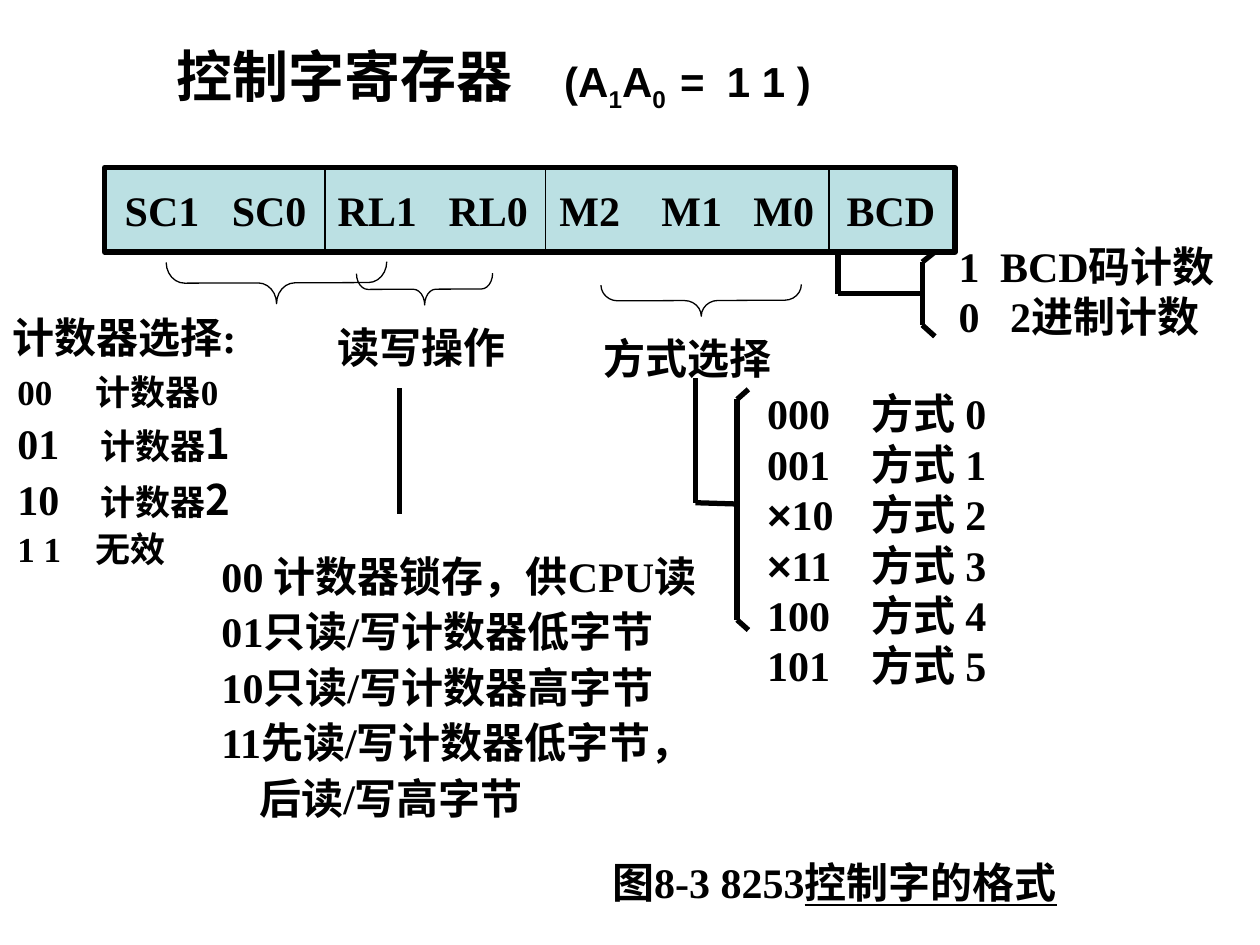
import dataclasses
import itertools
import lxml.etree
import pptx
import pptx.dml.color
import pptx.enum.shapes
import pptx.enum.text
import pptx.oxml.ns
import pptx.util

Inches = pptx.util.Inches
qn = pptx.oxml.ns.qn


@dataclasses.dataclass(frozen=True)
class Theme:
    ink: str = "000000"
    fill: str = "BBE0E3"
    serif: str = "Times New Roman"
    sans: str = "Arial"
    han: str = "Noto Sans CJK SC"
    head: int = 32
    body: int = 24
    small: int = 20
    thick: float = 3
    thin: float = 0.75


theme = Theme()


def color(code):
    return pptx.dml.color.RGBColor.from_string(code)


def inches(values):
    return [Inches(v) for v in values]


def style(run, size=theme.body, face=theme.serif, base=0, under=False):
    font = run.font
    font.size = pptx.util.Pt(size)
    font.bold = True
    font.name = face
    font.color.rgb = color(theme.ink)
    if under:
        font.underline = True
    props = run._r.get_or_add_rPr()
    if base:
        props.set("baseline", str(base * 1000))
    lxml.etree.SubElement(props, qn("a:ea")).set("typeface", theme.han)


def set_tabs(para, stops):
    tabs = lxml.etree.SubElement(para._p.get_or_add_pPr(), qn("a:tabLst"))
    for stop in stops:
        tab = lxml.etree.SubElement(tabs, qn("a:tab"))
        tab.set("pos", str(Inches(stop)))
        tab.set("algn", "l")


def write(frame, rows, stops=(), space=None, middle=False, **look):
    frame.word_wrap = True
    anchor = pptx.enum.text.MSO_ANCHOR
    frame.vertical_anchor = anchor.MIDDLE if middle else anchor.TOP
    for i, row in enumerate(rows):
        para = frame.add_paragraph() if i else frame.paragraphs[0]
        para.alignment = pptx.enum.text.PP_ALIGN.LEFT
        if space:
            para.line_spacing = space
        if stops:
            set_tabs(para, stops[i % len(stops)])
        for words, extra in [(row, {})] if isinstance(row, str) else row:
            run = para.add_run()
            run.text = words
            style(run, **{**look, **extra})


def text(slide, box, rows, **fmt):
    write(slide.shapes.add_textbox(*inches(box)).text_frame, rows, **fmt)


def line(slide, start, end, width=theme.thick):
    kind = pptx.enum.shapes.MSO_CONNECTOR.STRAIGHT
    item = slide.shapes.add_connector(kind, *inches((*start, *end)))
    item.line.width = pptx.util.Pt(width)
    item.line.color.rgb = color(theme.ink)
    lxml.etree.SubElement(item._element.spPr, qn("a:effectLst"))


def trace(slide, *points):
    for start, end in itertools.pairwise(points):
        line(slide, start, end)


def shape(slide, kind, box, width):
    item = slide.shapes.add_shape(kind, *inches(box))
    item.shadow.inherit = False
    item.line.width = pptx.util.Pt(width)
    item.line.color.rgb = color(theme.ink)
    return item


def brace(slide, x, y, wide, high):
    kind = pptx.enum.shapes.MSO_SHAPE.LEFT_BRACE
    box = (x + (wide - high) / 2, y + (high - wide) / 2, high, wide)
    item = shape(slide, kind, box, theme.thin)
    item.fill.background()
    item.adjustments[0] = wide / 12 / high
    item.rotation = 269.8


def register(slide):
    kind = pptx.enum.shapes.MSO_SHAPE.RECTANGLE
    bar = shape(slide, kind, (0.83, 1.33, 6.75, 0.67), theme.thick)
    bar.fill.solid()
    bar.fill.fore_color.rgb = color(theme.fill)
    bar.text_frame.margin_left = Inches(0.16)
    names = ["SC1", "SC0", "RL1", "RL0", "M2", "M1", "M0", "BCD"]
    stops = (0.85, 1.69, 2.57, 3.45, 4.26, 4.99, 5.73)
    write(bar.text_frame, ["\t".join(names)], stops=[stops], middle=True)
    for x in (2.58, 4.33, 6.58):
        line(slide, (x, 1.33), (x, 2), theme.thin)


def counters(slide):
    brace(slide, 1.32, 2.08, 1.75, 0.33)
    text(slide, (0, 2.42, 2.6, 0.5), ["计数器选择:"])
    small, han = {"size": theme.small}, {"face": theme.han}
    rows = [[("00\t计数器0", small)]]
    for code, digit in (("01", "1"), ("10", "2")):
        rows.append([(code + "\t", {}), ("计数器", {**small, **han}), (digit, han)])
    rows.append([("1 1\t无效", small)])
    stops = [(0.62,), (0.66,), (0.66,), (0.62,)]
    text(slide, (0.04, 2.86, 2.27, 1.72), rows, stops=stops, space=1.1)


def access(slide):
    brace(slide, 2.83, 2.17, 1.08, 0.25)
    text(slide, (2.58, 2.5, 1.58, 0.5), ["读写操作"])
    line(slide, (3.17, 3.08), (3.17, 4.08))
    rows = ["00 计数器锁存，供CPU读", "01只读/写计数器低字节",
            "10只读/写计数器高字节", "11先读/写计数器低字节，", "\t后读/写高字节"]
    text(slide, (1.66, 4.28, 4.4, 2.3), rows, stops=[(0.3,)], space=1.1)


def modes(slide):
    brace(slide, 4.77, 2.26, 1.59, 0.25)
    text(slide, (4.69, 2.59, 1.83, 0.5), ["方式选择"])
    trace(slide, (5.52, 3), (5.52, 3.99), (5.85, 4))
    trace(slide, (5.94, 3.09), (5.85, 3.17), (5.85, 4.92), (5.94, 5))
    rows = []
    for i, code in enumerate(["000", "001", "×10", "×11", "100", "101"]):
        tail = f"{code[1:]}\t方式 {i}"
        face = theme.sans if code[0] == "×" else theme.serif
        rows.append([(code[0], {"face": face}), (tail, {})])
    text(slide, (5.99, 3.03, 2.11, 2.5), rows, stops=[(0.83,)])


def coding(slide):
    trace(slide, (6.65, 2), (6.65, 2.33), (7.32, 2.33))
    trace(slide, (7.42, 2), (7.32, 2.08), (7.32, 2.58), (7.42, 2.67))
    text(slide, (7.51, 1.86, 2.56, 0.9), ["1\tBCD码计数", "0\t2进制计数"],
         stops=[(0.33,), (0.41,)])


def main():
    deck = pptx.Presentation()
    deck.slide_width, deck.slide_height = inches((10, 7.5))
    slide = deck.slides.add_slide(deck.slide_layouts[6])
    low = {"base": -25}
    title = [("控制字寄存器\t", {"size": theme.head}), ("(A", {}), ("1", low),
             ("A", {}), ("0", low), ("\t=\t1 1 )", {})]
    text(slide, (1.3, 0.28, 6.33, 0.67), [title], face=theme.sans,
         stops=[(3.08, 4, 4.37)], middle=True)
    register(slide)
    counters(slide)
    access(slide)
    modes(slide)
    coding(slide)
    text(slide, (4.76, 6.75, 4.1, 0.5),
         [[("图8-3 8253", {}), ("控制字的格式", {"under": True})]])
    deck.save("out.pptx")


if __name__ == "__main__":
    main()
